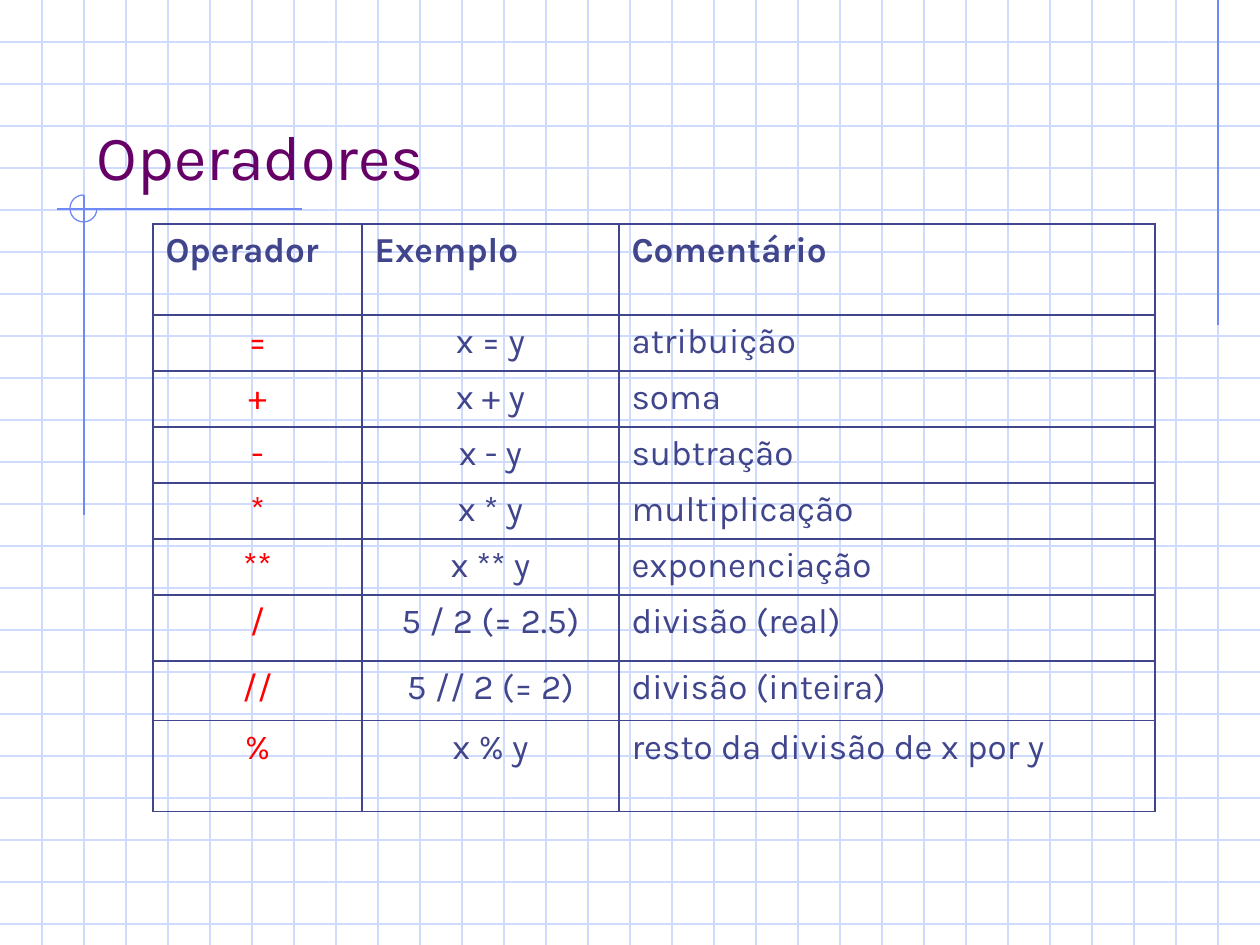
from lxml import etree
from pptx import Presentation
from pptx.dml.color import RGBColor
from pptx.enum.shapes import MSO_CONNECTOR, MSO_SHAPE
from pptx.enum.text import MSO_ANCHOR, PP_ALIGN
from pptx.oxml.ns import qn
from pptx.util import Pt

PX = 914400 / 126
WIDTH, HEIGHT = 1260, 945
GRID_STEP = 42
FONT = "Karla"
STRAIGHT = MSO_CONNECTOR.STRAIGHT
LEFT, CENTER = PP_ALIGN.LEFT, PP_ALIGN.CENTER

GRID_BLUE = RGBColor(0xCF, 0xDB, 0xFD)
ACCENT_BLUE = RGBColor(0x6F, 0x89, 0xF7)
PURPLE = RGBColor(0x66, 0x00, 0x66)
INDIGO = RGBColor(0x40, 0x45, 0x8C)
RED = RGBColor(0xFF, 0x00, 0x00)


def add_line(color, *ends):
    """Draw a thin line; ends are x1, y1, x2, y2 in px."""
    line = slide.shapes.add_connector(STRAIGHT, *(round(v * PX) for v in ends))
    line.line.color.rgb = color
    line.line.width = Pt(0.75)
    etree.SubElement(line._element.spPr, qn("a:effectLst"))


def add_borders(cell, color):
    """Put a 1 pt border on all four sides of a cell."""
    properties = cell._tc.get_or_add_tcPr()
    for position, side in enumerate(("lnL", "lnR", "lnT", "lnB")):
        border = etree.Element(qn(f"a:{side}"), w=str(Pt(1)))
        fill = etree.SubElement(border, qn("a:solidFill"))
        etree.SubElement(fill, qn("a:srgbClr"), val=str(color))
        properties.insert(position, border)


prs = Presentation()
prs.slide_width, prs.slide_height = round(WIDTH * PX), round(HEIGHT * PX)
slide = prs.slides.add_slide(prs.slide_layouts[5])

# Graph paper
for y in range(GRID_STEP, HEIGHT, GRID_STEP):
    add_line(GRID_BLUE, 0, y, WIDTH, y)
for x in range(GRID_STEP, WIDTH, GRID_STEP):
    add_line(GRID_BLUE, x, 0, x, HEIGHT)

# Accent lines and the three-quarter circle where two of them cross
add_line(ACCENT_BLUE, 1218, 0, 1218, 325)
add_line(ACCENT_BLUE, 302, 209, 57, 209)
add_line(ACCENT_BLUE, 84, 195, 84, 515)
arc = slide.shapes.add_shape(
    MSO_SHAPE.ARC, *(round(v * PX) for v in (70, 195, 27, 27)))
arc.adjustments[0] = 0
arc.adjustments[1] = 162  # 270 degrees
arc.fill.background()
arc.line.color.rgb = ACCENT_BLUE
arc.line.width = Pt(0.75)
arc.shadow.inherit = False

# Title, in front of the graph paper
title = slide.shapes.title
slide.shapes._spTree.append(title._element)
title.left, title.top, title.width, title.height = (
    round(v * PX) for v in (84, 42, 1071, 157))
title.text_frame.text = "Operadores"
title.text_frame.vertical_anchor = MSO_ANCHOR.BOTTOM
heading = title.text_frame.paragraphs[0]
heading.alignment = LEFT
heading.font.name = FONT
heading.font.size = Pt(36)
heading.font.color.rgb = PURPLE

# Operator table
operators = [
    ("Operador", "Exemplo", "Comentário"),
    ("=", "x = y", "atribuição"),
    ("+", "x + y", "soma"),
    ("-", "x - y", "subtração"),
    ("*", "x * y", "multiplicação"),
    ("**", "x ** y", "exponenciação"),
    ("/", "5 / 2 (= 2.5)", "divisão (real)"),
    ("//", "5 // 2 (= 2)", "divisão (inteira)"),
    ("%", "x % y", "resto da divisão de x por y"),
]
column_widths = [209, 257, 536]
row_heights = [91] + [56] * 5 + [66, 60, 91]
column_styles = [(RED, CENTER), (INDIGO, CENTER), (INDIGO, LEFT)]

table = slide.shapes.add_table(
    len(operators), len(column_widths),
    *(round(v * PX) for v in (153, 224, sum(column_widths), sum(row_heights)))).table
table.first_row = table.horz_banding = False
for column, width in zip(table.columns, column_widths):
    column.width = round(width * PX)
for row, height in zip(table.rows, row_heights):
    row.height = round(height * PX)

for r, texts in enumerate(operators):
    for c, text in enumerate(texts):
        is_header = r == 0
        color, alignment = (INDIGO, LEFT) if is_header else column_styles[c]
        cell = table.cell(r, c)
        cell.text = text
        cell.fill.background()
        add_borders(cell, INDIGO)
        paragraph = cell.text_frame.paragraphs[0]
        paragraph.alignment = alignment
        paragraph.font.name = FONT
        paragraph.font.size = Pt(20)
        paragraph.font.bold = is_header
        paragraph.font.color.rgb = color

prs.save("out.pptx")
